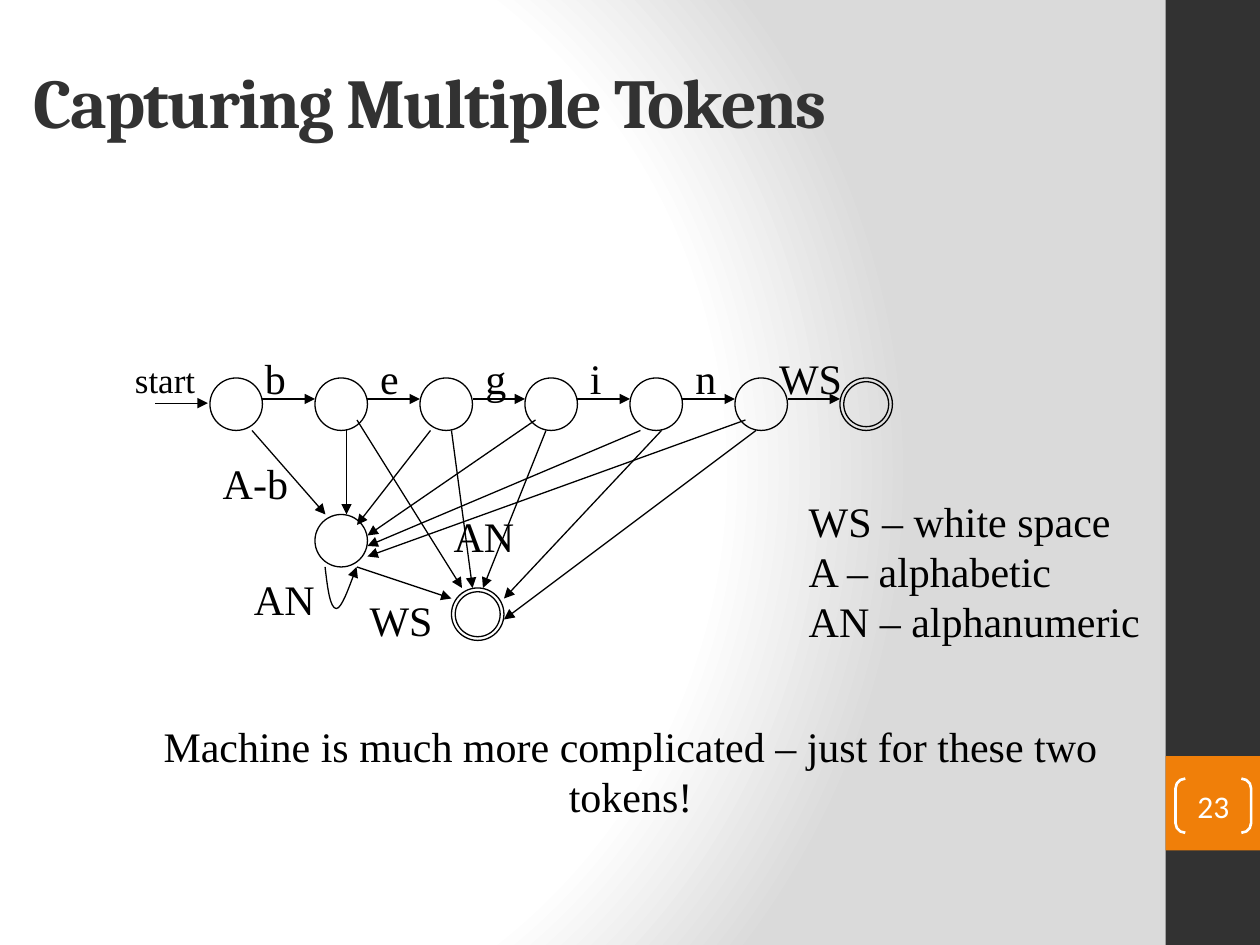
from lxml import etree
from pptx import Presentation
from pptx.dml.color import RGBColor
from pptx.enum.shapes import MSO_CONNECTOR as CONN, MSO_SHAPE as SHAPE
from pptx.enum.text import MSO_ANCHOR as ANCHOR, PP_ALIGN as ALIGN
from pptx.oxml import parse_xml
from pptx.oxml.ns import nsdecls, qn
from pptx.util import Inches, Pt

INK, DARK, ORANGE, WHITE = "000000", "323232", "F07F09", "FFFFFF"
SERIF = "Times New Roman"


def rgb(color):
    return RGBColor.from_string(color)


def add_text(x, y, w, h, lines, size=24, align=ALIGN.CENTER, wrap=False):
    tf = s.shapes.add_textbox(Inches(x), Inches(y), Inches(w), Inches(h)).text_frame
    tf.word_wrap = wrap
    for i, line in enumerate(lines):
        p = tf.paragraphs[0] if i == 0 else tf.add_paragraph()
        p.alignment = align
        r = p.add_run()
        r.text = line
        r.font.size, r.font.name = Pt(size), SERIF
        r.font.color.rgb = rgb(INK)
    return tf


prs = Presentation()
prs.slide_width, prs.slide_height = Inches(10), Inches(7.5)
s = prs.slides.add_slide(prs.slide_layouts[6])

# Radial background
s.background.fill.gradient()
old = s.background._cSld.find(".//" + qn("a:gradFill"))
stops = "".join(
    f'<a:gs pos="{pos}000"><a:srgbClr val="{color}"/></a:gs>'
    for pos, color in ((0, WHITE), (75, WHITE), (100, "DADADA")))
old.getparent().replace(old, parse_xml(
    f'<a:gradFill {nsdecls("a")} rotWithShape="1"><a:gsLst>{stops}</a:gsLst>'
    '<a:path path="circle"><a:fillToRect l="20000" t="50000" r="100000" b="50000"/>'
    '</a:path></a:gradFill>'))

# Side bar and page number block
for y, h, color in ((0, 7.5, DARK), (6, 0.75, ORANGE)):
    sp = s.shapes.add_shape(SHAPE.RECTANGLE, Inches(9.25), Inches(y), Inches(0.75), Inches(h))
    sp.shadow.inherit = False
    sp.fill.solid()
    sp.fill.fore_color.rgb = rgb(color)
    sp.line.fill.background()

# Title
tf = add_text(0.17, 0.17, 8.33, 1.25, ["Capturing Multiple Tokens"], 40, ALIGN.LEFT, True)
tf.vertical_anchor = ANCHOR.MIDDLE
r = tf.paragraphs[0].runs[0]
r.font.name, r.font.bold = "Cambria", True
r.font.color.rgb = rgb(DARK)
r.font._element.set("spc", "-100")

# States: the diagram sits on a grid of twelfths of an inch
STATE = 5 / 12
states = [(20 + 10 * i, 36) for i in range(7)] + [(30, 49), (43, 56)]
accepting = [(80, 36), (43, 56)]
circles = [(x / 12, y / 12, STATE) for x, y in states]
circles += [(x / 12 + 0.03, y / 12 + 0.03, STATE - 0.06) for x, y in accepting]
for x, y, d in circles:
    sp = s.shapes.add_shape(SHAPE.OVAL, Inches(x), Inches(y), Inches(d), Inches(d))
    sp.shadow.inherit = False
    sp.fill.background()
    sp.line.color.rgb = rgb(INK)
    sp.line.width = Pt(0.75)

# Transitions, in grid units
arrows = [(25 + 10 * i, 38, 30 + 10 * i, 38) for i in range(6)]
arrows += [(24, 41, 31, 49), (33, 41, 33, 49), (41, 41, 34, 50),     # to identifier
           (51, 40, 35, 51), (61, 41, 35, 52), (71, 40, 35, 53)]
arrows += [(34, 54, 43, 57), (34, 40, 44, 56), (43, 41, 45, 56),     # to accepting
           (52, 41, 46, 56), (63, 41, 48, 57), (72, 41, 48, 59)]
arrows += [(14.8, 38.4, 19.8, 38.4)]                                 # start
edges = []
for arrow in arrows:
    x1, y1, x2, y2 = (Inches(v / 12) for v in arrow)
    line = s.shapes.add_connector(CONN.STRAIGHT, x1, y1, x2, y2)
    etree.SubElement(line._element.spPr, qn("a:effectLst"))
    edges.append(line)

# Self loop: each three points after the start form one Bezier curve
loop_points = [(2.6, 4.67), (2.62, 4.83), (2.67, 4.83),
               (2.71, 4.83), (2.81, 4.56), (2.83, 4.5)]
fb = s.shapes.build_freeform(Inches(2.58), Inches(4.5))
fb.add_line_segments([(Inches(x), Inches(y)) for x, y in loop_points], close=False)
loop = fb.convert_to_shape()
loop.shadow.inherit = False
loop.fill.background()
outline = loop._element.find(".//" + qn("a:path"))
segments = outline.findall(qn("a:lnTo"))
for i in range(0, len(segments), 3):
    curve = etree.SubElement(outline, qn("a:cubicBezTo"))
    for segment in segments[i:i + 3]:
        curve.append(segment[0])
        outline.remove(segment)
edges.append(loop)

# Line style and arrowheads
for edge in edges:
    edge.line.color.rgb = rgb(INK)
    edge.line.width = Pt(0.75)
    etree.SubElement(edge.line._get_or_add_ln(), qn("a:tailEnd"), type="triangle")

# Transition labels, in grid units with widths in inches
labels = [("b", 24, 33, 0.37), ("e", 35, 33, 0.35), ("g", 45, 33, 0.37),
          ("i", 55, 33, 0.29), ("n", 65, 33, 0.37), ("WS", 73, 33, 0.7),
          ("A-b", 20, 43, 0.72), ("AN", 23, 54, 0.68), ("WS", 34, 56, 0.7),
          ("AN", 42, 48, 0.68)]
for label, x, y, w in labels:
    add_text(x / 12, y / 12, w, 0.5, [label])
add_text(0.97, 2.8, 0.68, 0.43, ["start"], 20)

# Legend and remark
add_text(6.32, 3.88, 2.83, 1.7,
         ["WS – white space", "A – alphabetic", "AN – alphanumeric"], align=ALIGN.LEFT)
add_text(0.77, 5.67, 8.47, 0.9,
         ["Machine is much more complicated – just for these two tokens!"], wrap=True)

# Page number in brackets
sp = s.shapes.add_shape(SHAPE.DOUBLE_BRACKET, Inches(9.33), Inches(6.18), Inches(0.6), Inches(0.43))
sp.adjustments[0] = 0.18
sp.shadow.inherit = False
sp.fill.background()
sp.line.color.rgb = rgb(WHITE)
sp.line.width = Pt(1.5)
tf = sp.text_frame
tf.margin_left = tf.margin_right = tf.margin_top = tf.margin_bottom = 0
tf.vertical_anchor = ANCHOR.MIDDLE
p = tf.paragraphs[0]
p.alignment = ALIGN.CENTER
r = p.add_run()
r.text = "23"
r.font.size, r.font.name = Pt(18), "Calibri"
r.font.color.rgb = rgb(WHITE)

prs.save("out.pptx")
